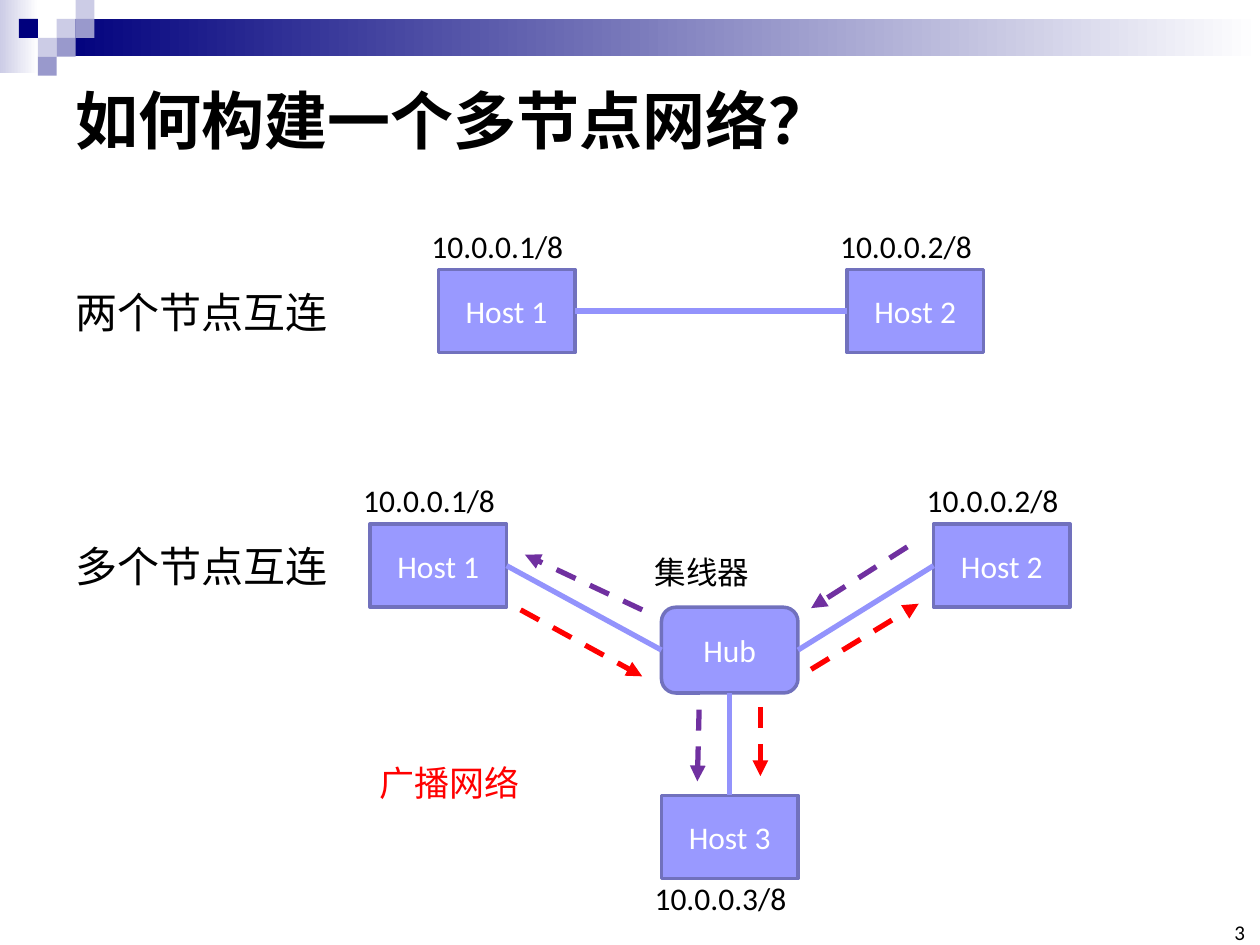
"""Builds a slide on linking two hosts directly and several through a hub."""
from dataclasses import dataclass

from lxml.etree import SubElement
from pptx import Presentation
from pptx.dml.color import RGBColor
from pptx.enum.dml import MSO_LINE_DASH_STYLE as DASH
from pptx.enum.shapes import MSO_CONNECTOR as CONN, MSO_SHAPE as SHAPE
from pptx.enum.text import MSO_ANCHOR as ANCHOR, PP_ALIGN as ALIGN
from pptx.oxml.ns import qn
from pptx.util import Pt


@dataclass(frozen=True)
class Theme:
    font: str = "Calibri"
    black: str = "000000"
    white: str = "FFFFFF"
    navy: str = "00007D"
    pale: str = "CCCCE6"
    mid: str = "9999CC"
    node: str = "9999FF"
    edge: str = "7171BD"
    link: str = "9393FC"
    red: str = "FF0000"
    purple: str = "7030A0"
    title: int = 36
    heading: int = 24
    note: int = 20
    body: int = 18
    number: int = 12


T = Theme()
TOP, LEFT, BOTTOM, RIGHT = range(4)
NODE_W, NODE_H = 78, 47.5


def rgb(color):
    return RGBColor.from_string(color)


def points(*values):
    return [Pt(v) for v in values]


def write(sp, text, size=T.body, color=T.black, bold=False, align=ALIGN.LEFT,
          anchor=ANCHOR.TOP, wrap=False, inset=None):
    tf = sp.text_frame
    tf.word_wrap, tf.vertical_anchor = wrap, anchor
    if inset is not None:
        tf.margin_left = tf.margin_right = tf.margin_top = tf.margin_bottom = Pt(inset)
    p = tf.paragraphs[0]
    p.alignment = align
    r = p.add_run()
    r.text = text
    r.font.name, r.font.size, r.font.bold = T.font, Pt(size), bold
    r.font.color.rgb = rgb(color)


def add_label(s, text, x, y, w, h, **fmt):
    write(s.shapes.add_textbox(*points(x, y, w, h)), text, **fmt)


def add_block(s, x, y, w, h, fill, fade=False, kind=SHAPE.RECTANGLE):
    sp = s.shapes.add_shape(kind, *points(x, y, w, h))
    sp.shadow.inherit = False
    sp.line.fill.background()
    if fade:
        sp.fill.gradient()
        sp.fill.gradient_angle = 0
        for stop, color in zip(sp.fill.gradient_stops, (fill, T.white)):
            stop.color.rgb = rgb(color)
    else:
        sp.fill.solid()
        sp.fill.fore_color.rgb = rgb(fill)
    return sp


def add_node(s, text, x, y, h=NODE_H, kind=SHAPE.RECTANGLE):
    sp = add_block(s, x, y, NODE_W, h, T.node, kind=kind)
    sp.line.color.rgb, sp.line.width = rgb(T.edge), Pt(2)
    write(sp, text, color=T.white, align=ALIGN.CENTER, anchor=ANCHOR.MIDDLE, wrap=True)
    return sp


def add_host(s, number, x, y, label_dy=-28):
    add_label(s, f"10.0.0.{number}/8", x - 11, y + label_dy, 91, 29)
    return add_node(s, f"Host {number}", x, y)


def add_line(s, color, x1=0, y1=0, x2=0, y2=0):
    line = s.shapes.add_connector(CONN.STRAIGHT, *points(x1, y1, x2, y2))
    line.line.color.rgb, line.line.width = rgb(color), Pt(3)
    SubElement(line._element.spPr, qn("a:effectLst"))
    return line


def add_link(s, start, start_side, end, end_side):
    line = add_line(s, T.link)
    line.begin_connect(start, start_side)
    line.end_connect(end, end_side)


def add_flow(s, color, *ends):
    line = add_line(s, color, *ends)
    line.line.dash_style = DASH.DASH
    SubElement(line.line._get_or_add_ln(), qn("a:tailEnd"), type="triangle")


def add_banner(s):
    add_block(s, 0, 0, 22, 42, T.pale, fade=True)
    add_block(s, 32.5, 10.8, 687.5, 21.4, T.navy, fade=True)
    unit = 10.8
    squares = [(3, 1, T.pale), (4, 0, T.pale), (4, 1, T.mid), (2, 2, T.pale),
               (1, 1, T.navy), (3, 2, T.mid), (2, 3, T.mid)]
    for col, row, color in squares:
        add_block(s, col * unit, row * unit, unit, unit, color)


def add_title(s, text):
    sp = s.shapes.title
    sp.left, sp.top, sp.width, sp.height = points(36, 36, 648, 64)
    write(sp, text, size=T.title, bold=True, anchor=ANCHOR.MIDDLE, wrap=True)


def add_pair(s):
    host1, host2 = (add_host(s, n, x, 154) for n, x in ((1, 250.5), (2, 484)))
    add_link(s, host2, LEFT, host1, RIGHT)


def add_star(s):
    host1, host2 = (add_host(s, n, x, 299.5) for n, x in ((1, 211.5), (2, 533.5)))
    host3 = add_host(s, 3, 378, 454.5, label_dy=44.5)
    hub = add_node(s, "Hub", 378, 347, h=49, kind=SHAPE.ROUNDED_RECTANGLE)
    add_link(s, host1, RIGHT, hub, LEFT)
    add_link(s, hub, RIGHT, host2, LEFT)
    add_link(s, hub, BOTTOM, host3, TOP)
    flows = {
        T.red: [(297.5, 348.5, 367, 386.5), (463.5, 382.5, 525, 345),
                (434.5, 404, 434.5, 443.5)],
        T.purple: [(518.5, 312.5, 463.5, 347.5), (399.5, 405.5, 398.5, 446.5),
                   (367, 348.5, 300, 317)],
    }
    for color, arrows in flows.items():
        for ends in arrows:
            add_flow(s, color, *ends)
    add_label(s, "集线器", 367, 312.5, 96.5, 29, wrap=True)
    add_label(s, "广播网络", 209.5, 431.5, 95, 31.5, size=T.note, color=T.red)


def main():
    prs = Presentation()
    prs.slide_width, prs.slide_height = points(720, 540)
    s = prs.slides.add_slide(prs.slide_layouts[5])
    add_banner(s)
    add_title(s, "如何构建一个多节点网络？")
    add_pair(s)
    add_star(s)
    for text, y in (("两个节点互连", 160), ("多个节点互连", 305.5)):
        add_label(s, text, 36, y, 160, 36, size=T.heading)
    add_label(s, "3", 695, 528, 16.5, 12, size=T.number, align=ALIGN.RIGHT,
              anchor=ANCHOR.BOTTOM, wrap=True, inset=0)
    prs.save("out.pptx")


if __name__ == "__main__":
    main()
